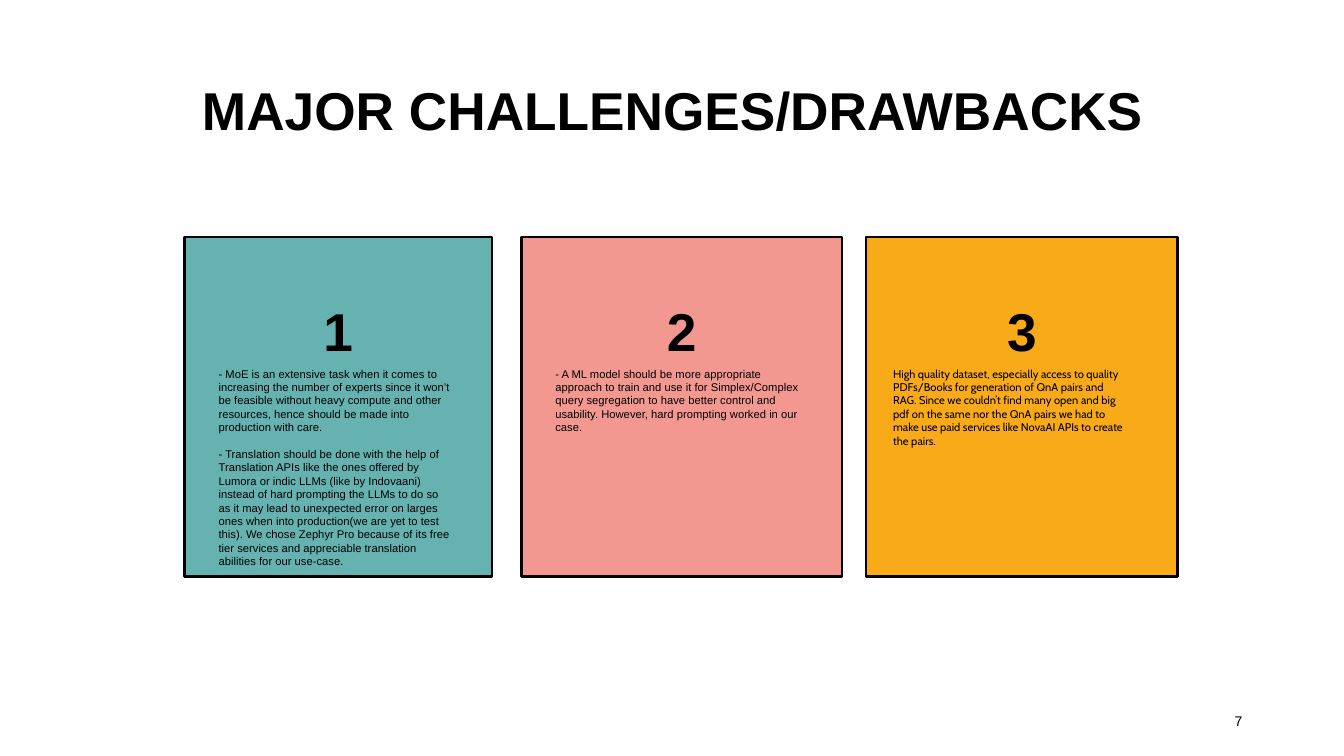
from pptx import Presentation
from pptx.dml.color import RGBColor
from pptx.enum import shapes, text
from pptx.util import Inches, Pt

COLORS = {
    "ink": "000000",
    "paper": "FFFFFF",
    "teal": "66B2B0",
    "pink": "F39891",
    "amber": "F9AA19",
}
CARD_TOP, CARD_HEIGHT, BODY_TOP = 2.35, 3.37, 3.59

# number, fill, card left, card width, body left, body width, body height, font, paragraphs
CHALLENGES = [
    ("1", "teal", 1.83, 3.05, 2.07, 2.5, 2.13, "Arial", [
        "- MoE is an extensive task when it comes to increasing the number of experts "
        "since it won’t be feasible without heavy compute and other resources, hence "
        "should be made into production with care.",
        "- Translation should be done with the help of Translation APIs like the ones "
        "offered by Lumora or indic LLMs (like by Indovaani) instead of hard prompting "
        "the LLMs to do so as it may lead to unexpected error on larges ones when into "
        "production(we are yet to test this). We chose Zephyr Pro because of its free "
        "tier services and appreciable translation abilities for our use-case.",
    ]),
    ("2", "pink", 5.17, 3.18, 5.41, 2.64, 1.53, "Arial", [
        "- A ML model should be more appropriate approach to train and use it for "
        "Simplex/Complex query segregation to have better control and usability. "
        "However, hard prompting worked in our case.",
    ]),
    ("3", "amber", 8.59, 3.09, 8.76, 2.5, 1.6, "Cabin", [
        "High quality dataset, especially access to quality PDFs/Books for generation "
        "of QnA pairs and RAG. Since we couldn’t find many open and big pdf on the same "
        "nor the QnA pairs we had to make use paid services like NovaAI APIs to create "
        "the pairs.",
    ]),
]


def color(name):
    return RGBColor.from_string(COLORS[name])


def write(box, paragraphs, size, font="Arial", bold=False, align="LEFT",
          anchor="TOP", line_spacing=1.0, gap=0, top_inset=0.05):
    frame = box.text_frame
    frame.word_wrap = True
    frame.auto_size = text.MSO_AUTO_SIZE.NONE
    frame.vertical_anchor = getattr(text.MSO_ANCHOR, anchor)
    frame.margin_left = frame.margin_right = Inches(0.1)
    frame.margin_top, frame.margin_bottom = Inches(top_inset), Inches(0.05)
    for index, words in enumerate(paragraphs):
        para = frame.add_paragraph() if index else frame.paragraphs[0]
        para.alignment = getattr(text.PP_ALIGN, align)
        para.line_spacing = line_spacing
        para.space_before = Pt(gap if index else 0)
        span = para.add_run()
        span.text = words
        span.font.name, span.font.size, span.font.bold = font, Pt(size), bold
        span.font.color.rgb = color("ink")


def add_title(page, words):
    title = page.shapes.title
    title.left, title.top = Inches(0.92), Inches(0.4)
    title.width, title.height = Inches(11.5), Inches(1.45)
    write(title, [words], 38, bold=True, align="CENTER", anchor="MIDDLE", line_spacing=0.9)


def add_text(page, left, top, width, height, paragraphs, size, **style):
    box = page.shapes.add_textbox(Inches(left), Inches(top), Inches(width), Inches(height))
    write(box, paragraphs, size, **style)


def add_card(page, number, fill, left, width):
    card = page.shapes.add_shape(shapes.MSO_SHAPE.RECTANGLE, Inches(left), Inches(CARD_TOP),
                                 Inches(width), Inches(CARD_HEIGHT))
    card.shadow.inherit = False
    card.fill.solid()
    card.fill.fore_color.rgb = color(fill)
    card.line.color.rgb = color("ink")
    card.line.width = Pt(1.75)
    write(card, [number], 38, bold=True, align="CENTER", line_spacing=0.9, top_inset=0.68)


def main():
    deck = Presentation()
    deck.slide_width, deck.slide_height = Inches(13.33), Inches(7.5)
    page = deck.slides.add_slide(deck.slide_layouts.get_by_name("Title Only"))
    page.background.fill.solid()
    page.background.fill.fore_color.rgb = color("paper")

    add_title(page, "MAJOR CHALLENGES/DRAWBACKS")
    for number, fill, left, width, body_left, body_width, body_height, font, body in CHALLENGES:
        add_card(page, number, fill, left, width)
        add_text(page, body_left, BODY_TOP, body_width, body_height, body, 8, font=font, gap=9.5)
    add_text(page, 9.42, 6.95, 3, 0.4, ["7"], 10, align="RIGHT", anchor="MIDDLE")
    deck.save("out.pptx")


if __name__ == "__main__":
    main()
